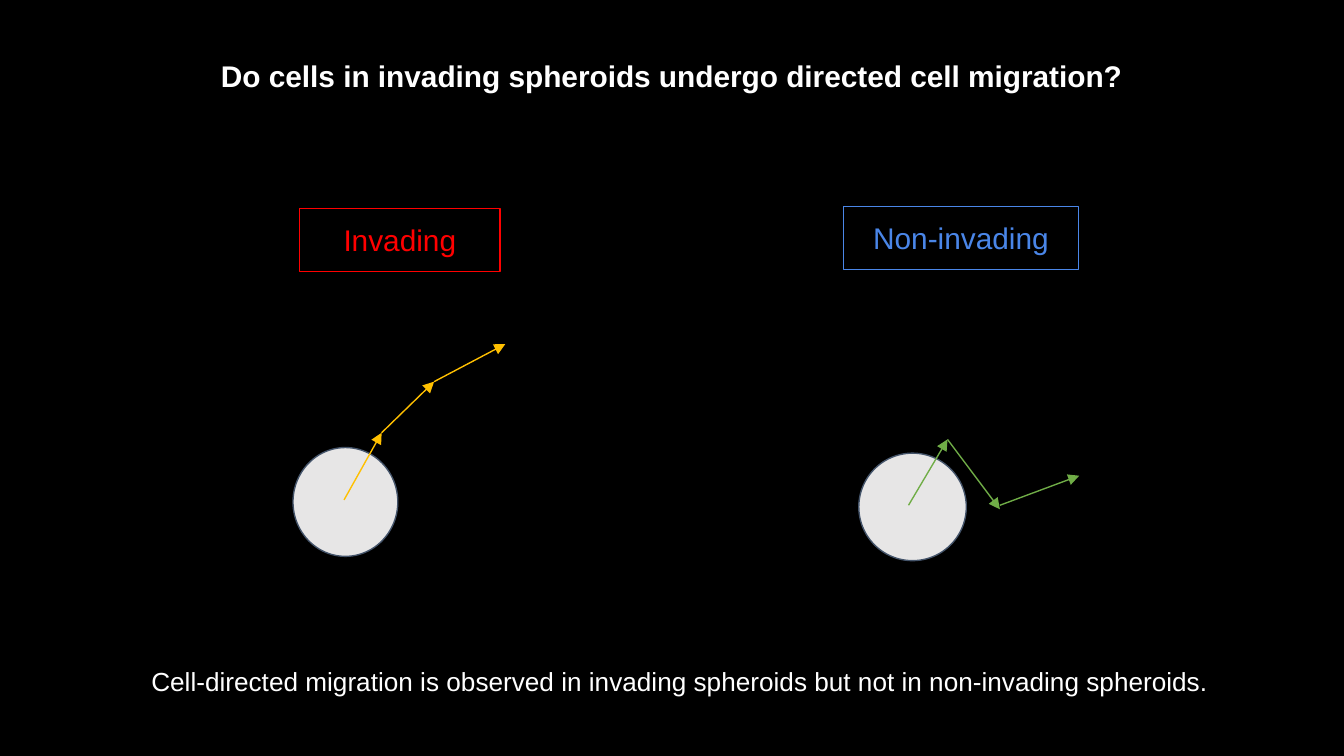
from pptx import Presentation
from pptx.dml.color import RGBColor
from pptx.enum.shapes import MSO_CONNECTOR as Connector, MSO_SHAPE as Shape
from pptx.enum.text import MSO_ANCHOR as Anchor, PP_ALIGN as Align
from pptx.oxml.ns import qn
from pptx.util import Inches, Pt
from lxml.etree import SubElement

WIDTH = 10
HEIGHT = WIDTH * 9 / 16
COLORS = {
    "black": "000000", "white": "FFFFFF", "red": "FF0000", "blue": "4A86E8",
    "yellow": "FFC000", "green": "70AD47", "cell": "E7E6E6", "rim": "44546A",
}

# Places are percentages of the slide: left, top, width, height; or x, y.
TITLE = ("Do cells in invading spheroids undergo directed cell migration?",
         (3.4, 6.4, 93.2, 11.2))
CONCLUSION = ("Cell-directed migration is observed in invading spheroids "
              "but not in non-invading spheroids.",
              (3.4, 83.73, 93.2, 15.11))
SPHEROIDS = [
    {"label": "Invading", "color": "red", "box": (22.3, 27.56, 14.9, 8.36),
     "cell": (21.8, 59.2, 7.8, 14.4), "track": "yellow",
     "steps": [((25.6, 66.13), (28.4, 57.24)),
               ((28.4, 57.24), (32.3, 50.49)),
               ((32.3, 50.49), (37.6, 45.51))]},
    {"label": "Non-invading", "color": "blue", "box": (62.75, 27.3, 17.5, 8.36),
     "cell": (63.9, 59.95, 8, 14.22), "track": "green",
     "steps": [((67.6, 66.84), (70.5, 58.13)),
               ((70.5, 58.13), (74.4, 67.38)),
               ((74.4, 66.84), (80.3, 62.93))]},
]


def rgb(name):
    return RGBColor.from_string(COLORS[name])


def place(*shares):
    """Turn alternating horizontal and vertical percentages into lengths."""
    return [Inches(share * (HEIGHT if i % 2 else WIDTH) / 100)
            for i, share in enumerate(shares)]


def outline(item, color):
    item.line.color.rgb = rgb(color)
    item.line.width = Pt(0.75)


def add_text(slide, text, area, *, size=16, color="white", bold=False,
             spacing=None, indent=0, anchor=Anchor.TOP, border=None):
    box = slide.shapes.add_textbox(*place(*area))
    frame = box.text_frame
    frame.word_wrap = True
    frame.vertical_anchor = anchor
    frame.margin_left = frame.margin_right = Inches(0.1)
    frame.margin_top = frame.margin_bottom = Inches(0.1)
    paragraph = frame.paragraphs[0]
    paragraph.alignment = Align.CENTER
    if spacing:
        paragraph.line_spacing = spacing
    if indent:
        paragraph._p.get_or_add_pPr().set("marL", str(Inches(indent)))
    run = paragraph.add_run()
    run.text = text
    run.font.name = "Arial"
    run.font.size = Pt(size)
    run.font.bold = bold
    run.font.color.rgb = rgb(color)
    if border:
        outline(box, border)


def add_arrow(shapes, start, end, color):
    arrow = shapes.add_connector(Connector.STRAIGHT, *place(*start, *end))
    outline(arrow, color)
    SubElement(arrow.line._get_or_add_ln(), qn("a:tailEnd"), type="triangle")
    SubElement(arrow._element.spPr, qn("a:effectLst"))


def add_migration(slide, spheroid):
    """Draw a cell and the steps it takes, as one group."""
    shapes = slide.shapes.add_group_shape().shapes
    cell = shapes.add_shape(Shape.OVAL, *place(*spheroid["cell"]))
    cell.shadow.inherit = False
    cell.fill.solid()
    cell.fill.fore_color.rgb = rgb("cell")
    outline(cell, "rim")
    for start, end in spheroid["steps"]:
        add_arrow(shapes, start, end, spheroid["track"])


def main():
    deck = Presentation()
    deck.slide_width, deck.slide_height = Inches(WIDTH), Inches(HEIGHT)
    slide = deck.slides.add_slide(deck.slide_layouts[6])
    slide.background.fill.solid()
    slide.background.fill.fore_color.rgb = rgb("black")

    add_text(slide, *TITLE, bold=True, spacing=0.9)
    for spheroid in SPHEROIDS:
        add_text(slide, spheroid["label"], spheroid["box"],
                 color=spheroid["color"], border=spheroid["color"],
                 anchor=Anchor.MIDDLE)
        add_migration(slide, spheroid)
    add_text(slide, *CONCLUSION, size=14, spacing=1.6, indent=0.12)
    deck.save("out.pptx")


if __name__ == "__main__":
    main()
